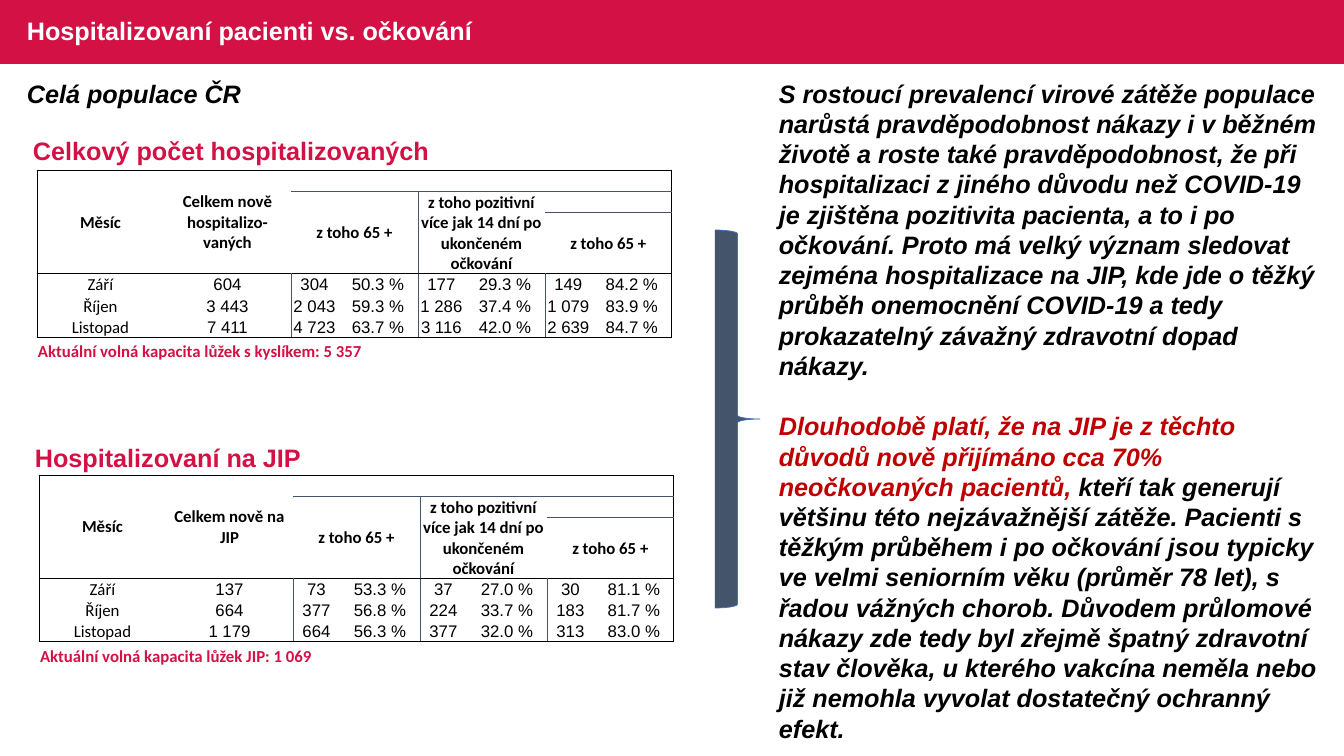
from lxml import etree
from pptx import Presentation
from pptx import util as u
from pptx.dml.color import RGBColor
from pptx.enum import shapes, text
from pptx.oxml import ns

TITLE = "Hospitalizovaní pacienti vs. očkování"
SUBTITLE = "Celá populace ČR"
COMMENTARY = [
    [("S rostoucí prevalencí virové zátěže populace narůstá pravděpodobnost nákazy i v běžném "
      "životě a roste také pravděpodobnost, že při hospitalizaci z jiného důvodu než COVID-19 "
      "je zjištěna pozitivita pacienta, a to i po očkování. Proto má velký význam sledovat "
      "zejména hospitalizace na JIP, kde jde o těžký průběh onemocnění COVID-19 a tedy "
      "prokazatelný závažný zdravotní dopad nákazy.", "black")],
    [("Dlouhodobě platí, že na JIP je z těchto důvodů nově přijímáno cca 70% "
      "neočkovaných pacientů,", "red"),
     (" kteří tak generují většinu této nejzávažnější zátěže. Pacienti s těžkým průběhem i po "
      "očkování jsou typicky ve velmi seniorním věku (průměr 78 let), s řadou vážných chorob. "
      "Důvodem průlomové nákazy zde tedy byl zřejmě špatný zdravotní stav člověka, u kterého "
      "vakcína neměla nebo již nemohla vyvolat dostatečný ochranný efekt.", "black")],
]
SECTIONS = [
    dict(title="Celkový počet hospitalizovaných", title_at=(23, 130), table_at=(37, 170),
         total="Celkem nově hospitalizo-vaných",
         rows=[("Září", "604", "304", "50.3 %", "177", "29.3 %", "149", "84.2 %"),
               ("Říjen", "3 443", "2 043", "59.3 %", "1 286", "37.4 %", "1 079", "83.9 %"),
               ("Listopad", "7 411", "4 723", "63.7 %", "3 116", "42.0 %", "2 639", "84.7 %")],
         footer="Aktuální volná kapacita lůžek s kyslíkem: 5 357"),
    dict(title="Hospitalizovaní na JIP", title_at=(25, 437), table_at=(39, 475),
         total="Celkem nově na JIP",
         rows=[("Září", "137", "73", "53.3 %", "37", "27.0 %", "30", "81.1 %"),
               ("Říjen", "664", "377", "56.8 %", "224", "33.7 %", "183", "81.7 %"),
               ("Listopad", "1 179", "664", "56.3 %", "377", "32.0 %", "313", "83.0 %")],
         footer="Aktuální volná kapacita lůžek JIP: 1 069"),
]
THEME = dict(black="000000", white="FFFFFF", crimson="D31145", red="C00000",
             slate="44546A", blue="4472C4", head=18, cell=12, sans="Arial", label="Calibri")

COLS = [127, 127] + [47, 80] * 3
ROWS = [21, 21, 61, 21, 21, 21, 28]
FIRST_DATA, FOOTER = 3, 6
SPANS = {(0, 0): (3, 1), (0, 1): (3, 1), (1, 2): (2, 2), (1, 4): (2, 2),
         (2, 6): (1, 2), (FOOTER, 0): (1, 8)}
RULES = [
    ("black", 0.75, (0, 0), (0, 8)), ("black", 0.75, (3, 0), (3, 8)),
    ("black", 0.75, (6, 0), (6, 8)), ("black", 0.75, (0, 0), (6, 0)),
    ("black", 0.75, (0, 8), (6, 8)), ("slate", 0.5, (1, 2), (1, 8)),
    ("slate", 0.5, (2, 6), (2, 8)), ("slate", 0.5, (3, 2), (6, 2)),
    ("slate", 0.5, (1, 4), (6, 4)), ("slate", 0.5, (2, 6), (6, 6)),
]


def px(n):
    return u.Emu(round(n * 914400 / 100.8))


def rgb(name):
    return RGBColor.from_string(THEME[name])


def style(r, color, size="head", face="sans", bold=True, italic=False):
    f = r.font
    f.name, f.size, f.bold, f.italic = THEME[face], u.Pt(THEME[size]), bold, italic
    f.color.rgb = rgb(color)


def add_text(s, box, paragraphs, italic=False):
    tf = s.shapes.add_textbox(*map(px, box)).text_frame
    tf.word_wrap = True
    for i, runs in enumerate(paragraphs):
        p = tf.paragraphs[0] if i == 0 else tf.add_paragraph()
        if i:
            p.space_before = u.Pt(21.6)
        for words, color in runs:
            r = p.add_run()
            r.text = words
            style(r, color, italic=italic)
    return tf


def add_filled(s, kind, box, color):
    sp = s.shapes.add_shape(kind, *map(px, box))
    sp.shadow.inherit = False
    sp.fill.solid()
    sp.fill.fore_color.rgb = rgb(color)
    sp.line.fill.background()
    return sp


def find_rule(start, end):
    for color, width, a, b in RULES:
        same_line = any(a[k] == b[k] == start[k] == end[k] for k in (0, 1))
        if same_line and a <= start and end <= b:
            return color, width


def set_borders(cell, row, col):
    h, w = SPANS.get((row, col), (1, 1))
    bottom, right = row + h, col + w
    edges = [("L", (row, col), (bottom, col)), ("R", (row, right), (bottom, right)),
             ("T", (row, col), (row, right)), ("B", (bottom, col), (bottom, right))]
    tc_pr = cell._tc.get_or_add_tcPr()
    for i, (side, start, end) in enumerate(edges):
        ln = etree.Element(ns.qn("a:ln" + side))
        rule = find_rule(start, end)
        if rule:
            ln.set("w", str(u.Pt(rule[1])))
            fill = etree.SubElement(ln, ns.qn("a:solidFill"))
            etree.SubElement(fill, ns.qn("a:srgbClr"), val=THEME[rule[0]])
        else:
            etree.SubElement(ln, ns.qn("a:noFill"))
        tc_pr.insert(i, ln)


def set_cell(cell, row, col, words):
    cell.margin_left = cell.margin_top = cell.margin_right = px(1)
    cell.margin_bottom = 0
    cell.vertical_anchor = text.MSO_ANCHOR.MIDDLE
    cell.fill.background()
    set_borders(cell, row, col)
    p = cell.text_frame.paragraphs[0]
    if not words:
        etree.SubElement(p._p, ns.qn("a:endParaRPr"), sz=str(THEME["cell"] * 100))
        return
    p.text = words
    is_data = FIRST_DATA <= row < FOOTER
    p.alignment = text.PP_ALIGN.LEFT if row == FOOTER else text.PP_ALIGN.CENTER
    style(p.runs[0], "crimson" if row == FOOTER else "black", "cell",
          "sans" if is_data and col else "label", bold=not is_data)


def add_hospital_table(s, section):
    size = (sum(COLS), sum(ROWS))
    table = s.shapes.add_table(len(ROWS), len(COLS),
                               *map(px, section["table_at"] + size)).table
    table.first_row = table.horz_banding = False
    for column, width in zip(table.columns, COLS):
        column.width = px(width)
    for line, height in zip(table.rows, ROWS):
        line.height = px(height)
    words = {(0, 0): "Měsíc", (0, 1): section["total"], (1, 2): "z toho 65 +",
             (1, 4): "z toho pozitivní více jak 14 dní po ukončeném očkování",
             (2, 6): "z toho 65 +", (FOOTER, 0): section["footer"]}
    for i, values in enumerate(section["rows"], FIRST_DATA):
        words.update({(i, j): value for j, value in enumerate(values)})
    for (row, col), (h, w) in SPANS.items():
        table.cell(row, col).merge(table.cell(row + h - 1, col + w - 1))
    for row in range(len(ROWS)):
        for col in range(len(COLS)):
            set_cell(table.cell(row, col), row, col, words.get((row, col)))


def main():
    prs = Presentation()
    prs.slide_width, prs.slide_height = px(1344), px(756)
    s = prs.slides.add_slide(prs.slide_layouts[6])
    add_filled(s, shapes.MSO_SHAPE.RECTANGLE, (0, 0, 1344, 64), "crimson")
    tf = add_text(s, (17, 0, 820, 64), [[(TITLE, "white")]])
    tf.vertical_anchor = text.MSO_ANCHOR.MIDDLE
    tf.paragraphs[0].line_spacing = 0.9
    add_text(s, (17, 73, 294, 40), [[(SUBTITLE, "black")]], italic=True)
    for section in SECTIONS:
        add_text(s, section["title_at"] + (638, 40), [[(section["title"], "crimson")]])
        add_hospital_table(s, section)
    brace = add_filled(s, shapes.MSO_SHAPE.RIGHT_BRACE, (715, 230, 45, 378), "slate")
    brace.line.color.rgb = rgb("blue")
    brace.line.width = u.Pt(0.5)
    add_text(s, (769, 73, 567, 682), COMMENTARY, italic=True)
    prs.save("out.pptx")


if __name__ == "__main__":
    main()
